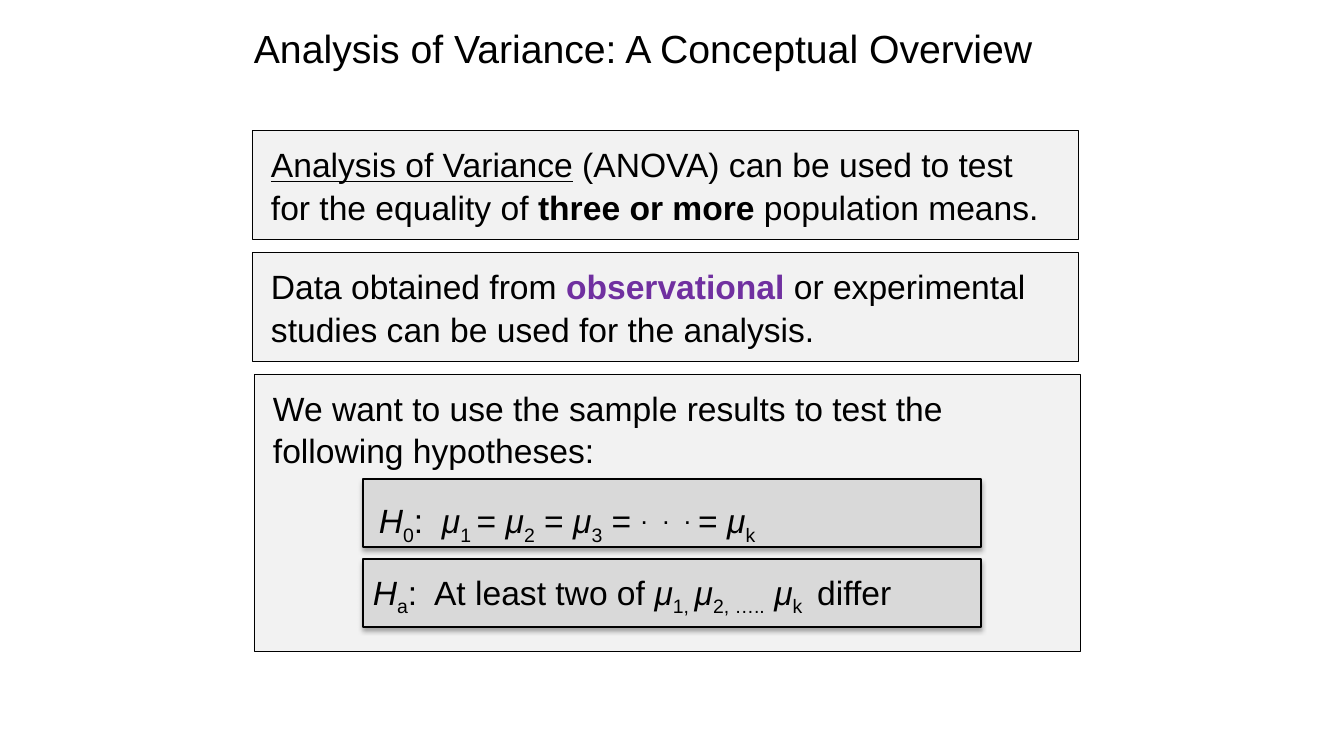
from lxml.etree import SubElement
from pptx import Presentation
from pptx.dml.color import RGBColor
from pptx.enum.shapes import MSO_SHAPE
from pptx.enum.text import MSO_ANCHOR, MSO_AUTO_SIZE, PP_ALIGN
from pptx.oxml.ns import qn
from pptx.util import Emu, Pt

EMU_PER_PX = 914400 / 100.8
BLACK = RGBColor(0x00, 0x00, 0x00)
WHITE = RGBColor(0xFF, 0xFF, 0xFF)
PURPLE = RGBColor(0x70, 0x30, 0xA0)
PANEL_GREY = RGBColor(0xF2, 0xF2, 0xF2)
HYPOTHESIS_GREY = RGBColor(0xD9, 0xD9, 0xD9)

BODY = {"name": "Arial", "size": Pt(24)}
TITLE = {"size": Pt(28)}
UNDERLINE = {"underline": True}
BOLD = {"bold": True}
HIGHLIGHT = {"bold": True, "color": PURPLE}
ITALIC = {"italic": True}
SUB = {"baseline": -25000}
DOTS = {"size": Pt(32), "baseline": 20000}
MU = ("μ", ITALIC)

DEFINITION = [
    [("Analysis of Variance", UNDERLINE), (" (ANOVA) can be used to test", {})],
    [("for the equality of ", {}), ("three or more ", BOLD), ("population means.", {})],
]
DATA_SOURCES = [
    [("Data obtained from ", {}), ("observational ", HIGHLIGHT), ("or experimental", {})],
    [("studies can be used for the analysis.", {})],
]
GOAL = [
    [("We want to use the sample results to test the", {})],
    [("following hypotheses:", {})],
]
NULL_HYPOTHESIS = [
    ("H", ITALIC), ("0", SUB), (":  ", {}), MU, ("1 ", SUB), ("= ", {}),
    MU, ("2", SUB), (" = ", {}), MU, ("3", SUB), (" = ", {}),
    (".  .  . ", DOTS), ("= ", {}), MU, ("k", SUB),
]
ALTERNATIVE = [
    ("H", ITALIC), ("a", SUB), (":  At least two of ", {}), MU, ("1, ", SUB),
    MU, ("2, …..", SUB), (" μ", ITALIC), ("k ", SUB), (" differ", {}),
]


def px(length):
    return Emu(round(length * EMU_PER_PX))


def write_runs(paragraph, runs):
    paragraph.alignment = PP_ALIGN.LEFT
    for text, changes in runs:
        run = paragraph.add_run()
        run.text = text
        formats = {**BODY, **changes}
        run.font.color.rgb = formats.pop("color", BLACK)
        baseline = formats.pop("baseline", None)
        if baseline is not None:
            run.font._element.set("baseline", str(baseline))
        for attribute, value in formats.items():
            setattr(run.font, attribute, value)


def add_frame(slide, box, fill, line_width):
    frame = slide.shapes.add_shape(MSO_SHAPE.RECTANGLE, *map(px, box))
    frame.shadow.inherit = False
    frame.fill.solid()
    frame.fill.fore_color.rgb = fill
    frame.line.color.rgb = BLACK
    frame.line.width = line_width
    return frame


def cast_shadow(frame):
    effects = frame._element.spPr.find(qn("a:effectLst"))
    shadow = SubElement(effects, qn("a:outerShdw"), blurRad="44450",
                        dist="27940", dir="5400000", rotWithShape="0")
    color = SubElement(shadow, qn("a:srgbClr"), val=str(BLACK))
    SubElement(color, qn("a:alpha"), val="32000")


def add_title(slide, box):
    title = slide.shapes.add_textbox(*map(px, box)).text_frame
    title.word_wrap = True
    title.vertical_anchor = MSO_ANCHOR.MIDDLE
    write_runs(title.paragraphs[0],
               [("Analysis of Variance: A Conceptual Overview", TITLE)])


def add_panel(slide, box, lines, anchor=MSO_ANCHOR.MIDDLE):
    body = add_frame(slide, box, PANEL_GREY, Pt(0.5)).text_frame
    body.word_wrap = False
    body.vertical_anchor = anchor
    body.margin_left = px(19)
    body.margin_top = body.margin_bottom = px(12)
    for index, runs in enumerate(lines):
        paragraph = body.add_paragraph() if index else body.paragraphs[0]
        paragraph.line_spacing = 1.05
        write_runs(paragraph, runs)


def add_hypothesis(slide, box, runs, text_offset, text_width):
    left, top, _, _ = box
    cast_shadow(add_frame(slide, box, HYPOTHESIS_GREY, Pt(1)))
    dx, dy = text_offset
    label_box = (left + dx, top + dy, text_width, 50)
    label = slide.shapes.add_textbox(*map(px, label_box)).text_frame
    label.word_wrap = True
    label.auto_size = MSO_AUTO_SIZE.SHAPE_TO_FIT_TEXT
    write_runs(label.paragraphs[0], runs)


def add_hypotheses_panel(slide, box):
    left, top, _, _ = box
    add_panel(slide, box, GOAL, MSO_ANCHOR.TOP)
    rows = [(NULL_HYPOTHESIS, (6, 5), 424), (ALTERNATIVE, (0, 8), 572)]
    for index, (runs, text_offset, text_width) in enumerate(rows):
        row_box = (left + 109, top + 105 + index * 80, 618, 68)
        add_hypothesis(slide, row_box, runs, text_offset, text_width)


def main():
    deck = Presentation()
    deck.slide_width, deck.slide_height = px(1344), px(756)
    slide = deck.slides.add_slide(deck.slide_layouts[6])
    slide.background.fill.solid()
    slide.background.fill.fore_color.rgb = WHITE
    add_title(slide, (244, 3, 857, 90))
    for index, lines in enumerate([DEFINITION, DATA_SOURCES]):
        add_panel(slide, (252, 130 + index * 122, 826, 109), lines)
    add_hypotheses_panel(slide, (254, 374, 826, 277))
    deck.save("out.pptx")


if __name__ == "__main__":
    main()
